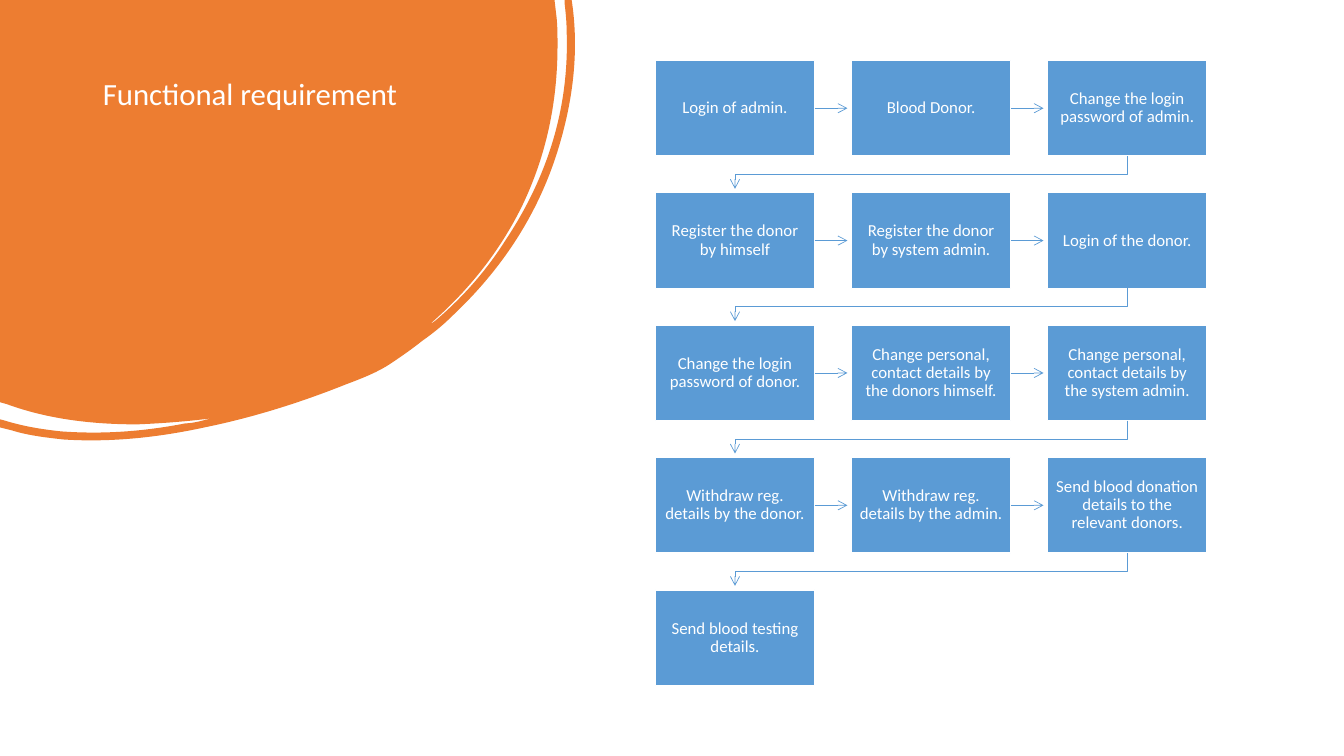
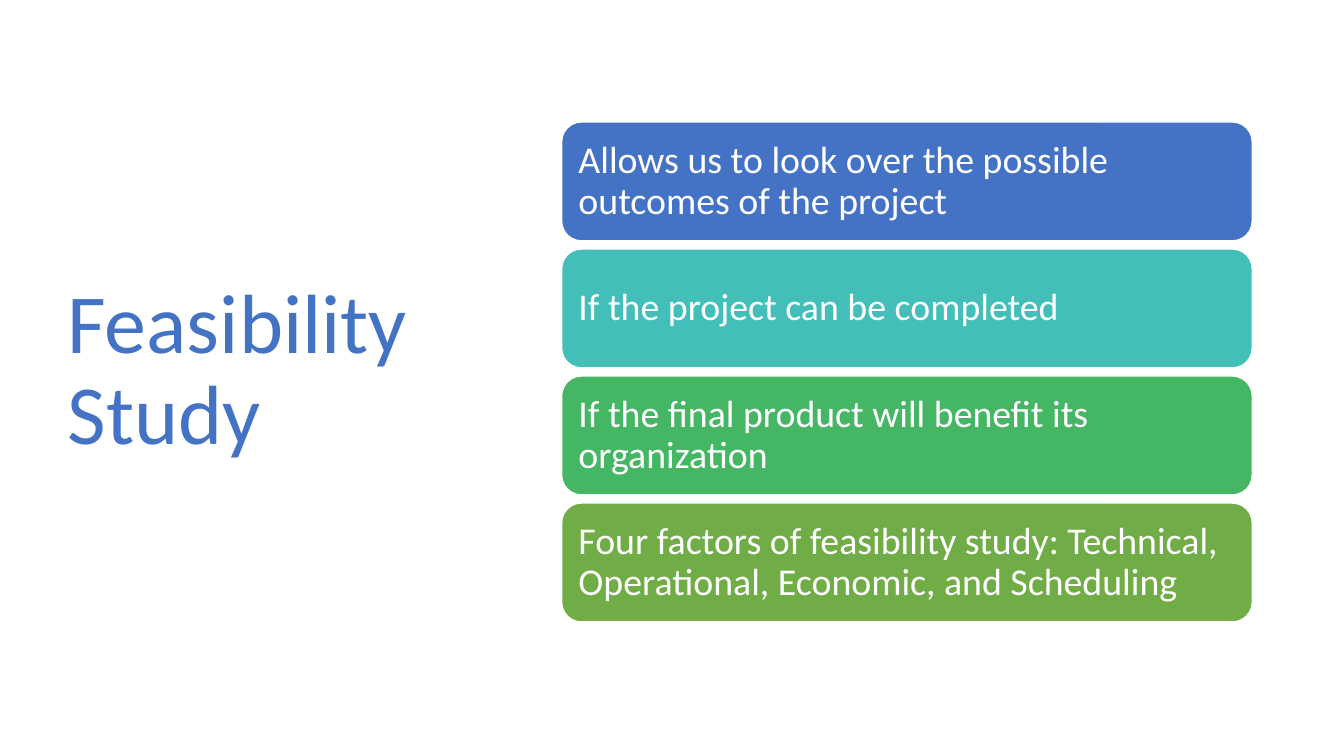
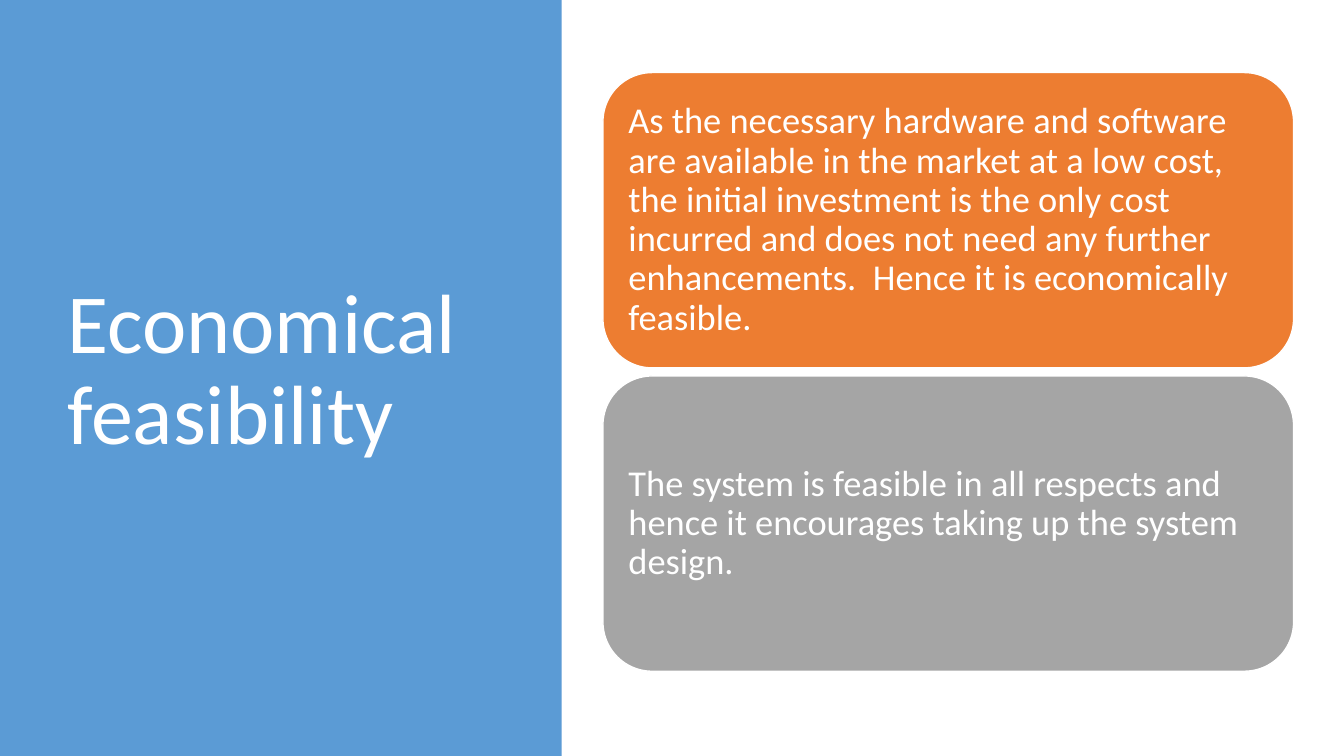
"""Build three slides on the requirements and feasibility of a blood donation system."""
from lxml import etree
from pptx import Presentation
from pptx import util as u
from pptx.dml.color import RGBColor
from pptx.enum import shapes, text
from pptx.oxml.ns import qn

Inches = u.Inches
FONT = "Calibri"
WHITE = RGBColor(0xFF, 0xFF, 0xFF)
BLUE = RGBColor(0x5B, 0x9B, 0xD5)
NAVY = RGBColor(0x44, 0x72, 0xC4)
TEAL = RGBColor(0x43, 0xBE, 0xB9)
GREEN = RGBColor(0x45, 0xB6, 0x64)
OLIVE = RGBColor(0x70, 0xAD, 0x47)
ORANGE = RGBColor(0xED, 0x7D, 0x31)
GRAY = RGBColor(0xA5, 0xA5, 0xA5)

STEPS = [
    "Login of admin.",
    "Blood Donor.",
    "Change the login password of admin.",
    "Register the donor by himself",
    "Register the donor by system admin.",
    "Login of the donor.",
    "Change the login password of donor.",
    "Change personal, contact details by the donors himself.",
    "Change personal, contact details by the system admin.",
    "Withdraw reg. details by the donor.",
    "Withdraw reg. details by the admin.",
    "Send blood donation details to the relevant donors.",
    "Send blood testing details.",
]
STUDY = [
    ("Allows us to look over the possible outcomes of the project", NAVY),
    ("If the project can be completed", TEAL),
    ("If the final product will benefit its organization", GREEN),
    ("Four factors of feasibility study: Technical, Operational, Economic, and Scheduling", OLIVE),
]
ECONOMY = [
    ("As the necessary hardware and software are available in the market at a low cost, "
     "the initial investment is the only cost incurred and does not need any further "
     "enhancements.  Hence it is economically feasible.", ORANGE),
    ("The system is feasible in all respects and hence it encourages taking up "
     "the system design.", GRAY),
]
BLOB = [
    [(5.5, 0)],
    [(5.52, 0.17)],
    [(5.53, 0.26), (5.53, 0.36), (5.53, 0.45)],
    [(5.53, 1.01), (5.42, 1.54), (5.18, 2.04)],
    [(4.96, 2.49), (4.65, 2.88), (4.27, 3.21)],
    [(4.29, 3.21), (4.3, 3.19), (4.32, 3.18)],
    [(4.59, 2.95), (4.82, 2.69), (5.01, 2.39)],
    [(5.43, 1.76), (5.65, 1.07), (5.62, 0.3)],
    [(5.62, 0.21), (5.61, 0.12), (5.6, 0.03)],
    [(5.6, 0)],
    [(5.67, 0)],
    [(5.68, 0.07)],
    [(5.74, 0.54), (5.68, 1.02), (5.53, 1.5)],
    [(5.33, 2.14), (4.97, 2.68), (4.48, 3.14)],
    [(4.39, 3.23), (4.29, 3.31), (4.19, 3.38)],
    [(4.09, 3.46), (3.99, 3.53), (3.87, 3.61)],
    [(3.75, 3.69), (3.6, 3.75), (3.44, 3.81)],
    [(2.99, 3.99), (2.52, 4.14), (2.03, 4.24)],
    [(1.57, 4.34), (1.1, 4.39), (0.63, 4.36)],
    [(0.45, 4.34), (0.28, 4.32), (0.12, 4.27)],
    [(0, 4.24)],
    [(0, 4.16)],
    [(0.04, 4.17)],
    [(0.23, 4.23), (0.42, 4.26), (0.61, 4.28)],
    [(1.03, 4.31), (1.43, 4.28), (1.84, 4.2)],
    [(1.89, 4.2), (1.93, 4.19), (1.98, 4.18)],
    [(2.02, 4.17), (2.06, 4.16), (2.1, 4.15)],
    [(1.86, 4.18), (1.61, 4.2), (1.36, 4.21)],
    [(0.92, 4.21), (0.48, 4.16), (0.07, 4.01)],
    [(0, 3.99)],
]

COLS = 3
GRID_X, GRID_Y, GRID_W, GRID_H = 6.5, 0.6, 5.47, 6.2
BOX_W = 1.58
BOX_H = BOX_W * 0.6
ARROW_GAP = 0.04
CARD_W, CARD_GAP = 6.85, 0.08
SIDE_W = 5.57


def write(tf, words, size, color=WHITE, align=text.PP_ALIGN.LEFT,
          anchor=text.MSO_ANCHOR.MIDDLE, inset=None):
    tf.word_wrap = True
    tf.auto_size = text.MSO_AUTO_SIZE.NONE
    tf.vertical_anchor = anchor
    if inset is not None:
        tf.margin_left = tf.margin_right = tf.margin_top = tf.margin_bottom = Inches(inset)
    p = tf.paragraphs[0]
    p.alignment, p.line_spacing = align, 0.9
    r = p.add_run()
    r.text = words
    r.font.name, r.font.size, r.font.color.rgb = FONT, u.Pt(size), color


def add_slide(prs, title, box=(0.57, 0.68, 4.16, 6.02), size=60, **fmt):
    s = prs.slides.add_slide(prs.slide_layouts[5])
    sp = s.shapes.title
    sp.left, sp.top, sp.width, sp.height = map(Inches, box)
    write(sp.text_frame, title, size, **fmt)
    return s


def paint(sp, fill, line=None):
    sp.shadow.inherit = False
    sp.fill.solid()
    sp.fill.fore_color.rgb = fill
    if line is None:
        sp.line.fill.background()
    else:
        sp.line.color.rgb, sp.line.width = line, u.Pt(1)


def add_box(s, kind, x, y, w, h, fill, line=None):
    sp = s.shapes.add_shape(kind, *map(Inches, (x, y, w, h)))
    paint(sp, fill, line)
    return sp


def send_to_back(s, sp):
    s.shapes._spTree.insert(2, sp._element)


def add_arrow(s, kind, x1, y1, x2, y2):
    c = s.shapes.add_connector(kind, *map(Inches, (x1, y1, x2, y2)))
    c.line.color.rgb, c.line.width = BLUE, u.Pt(0.5)
    etree.SubElement(c.line._get_or_add_ln(), qn("a:tailEnd"), type="arrow")
    etree.SubElement(c._element.spPr, qn("a:effectLst"))
    return c


def add_down_elbow(s, x1, y1, x2, y2):
    cx, cy = (x1 + x2) / 2, (y1 + y2) / 2
    half_w, half_h = (y2 - y1) / 2, (x1 - x2) / 2
    c = add_arrow(s, shapes.MSO_CONNECTOR.ELBOW,
                  cx - half_w, cy - half_h, cx + half_w, cy + half_h)
    spPr = c._element.spPr
    spPr.find(qn("a:xfrm")).set("rot", "5400000")
    guides = spPr.find(qn("a:prstGeom")).find(qn("a:avLst"))
    etree.SubElement(guides, qn("a:gd"), name="adj1", fmla="val 56000")


def add_blob(s):
    fb = s.shapes.build_freeform(0, 0)
    fb.add_line_segments([(Inches(x), Inches(y)) for seg in BLOB for x, y in seg])
    sp = fb.convert_to_shape()
    lines = iter(list(sp._element.iter(qn("a:lnTo"))))
    for seg in BLOB:
        first, *rest = [next(lines) for _ in seg]
        if rest:
            curve = etree.Element(qn("a:cubicBezTo"))
            first.addprevious(curve)
            for node in (first, *rest):
                curve.append(node[0])
                node.getparent().remove(node)
    paint(sp, ORANGE)
    send_to_back(s, sp)


def add_flow(s):
    rows = -(-len(STEPS) // COLS)
    step_x = (GRID_W - BOX_W) / (COLS - 1)
    step_y = (GRID_H - BOX_H) / (rows - 1)
    for i, words in enumerate(STEPS):
        row, col = divmod(i, COLS)
        x, y = GRID_X + col * step_x, GRID_Y + row * step_y
        sp = add_box(s, shapes.MSO_SHAPE.RECTANGLE, x, y, BOX_W, BOX_H, BLUE, WHITE)
        write(sp.text_frame, words, 12, align=text.PP_ALIGN.CENTER, inset=0.08)
        if i == len(STEPS) - 1:
            continue
        if col < COLS - 1:
            mid = y + BOX_H / 2
            add_arrow(s, shapes.MSO_CONNECTOR.STRAIGHT,
                      x + BOX_W, mid, x + step_x - ARROW_GAP, mid)
        else:
            add_down_elbow(s, x + BOX_W / 2, y + BOX_H,
                           GRID_X + BOX_W / 2, y + step_y - ARROW_GAP)


def add_cards(s, cards, x, y, h, size):
    for i, (words, fill) in enumerate(cards):
        sp = add_box(s, shapes.MSO_SHAPE.ROUNDED_RECTANGLE,
                     x, y + i * (h + CARD_GAP), CARD_W, h, fill, WHITE)
        write(sp.text_frame, words, size, inset=0.11)


def main():
    prs = Presentation()
    prs.slide_width, prs.slide_height = Inches(13.33), Inches(7.5)

    s = add_slide(prs, "Functional requirement", box=(0.92, 0.73, 3.52, 2.22), size=22,
                  anchor=text.MSO_ANCHOR.TOP)
    add_blob(s)
    add_flow(s)

    s = add_slide(prs, "Feasibility Study", color=NAVY)
    add_cards(s, STUDY, x=5.57, y=1.21, h=1.18, size=27)

    s = add_slide(prs, "Economical feasibility")
    send_to_back(s, add_box(s, shapes.MSO_SHAPE.RECTANGLE, 0, 0, SIDE_W, 7.5, BLUE))
    add_cards(s, ECONOMY, x=5.98, y=0.72, h=2.93, size=26)

    prs.save("out.pptx")


if __name__ == "__main__":
    main()
